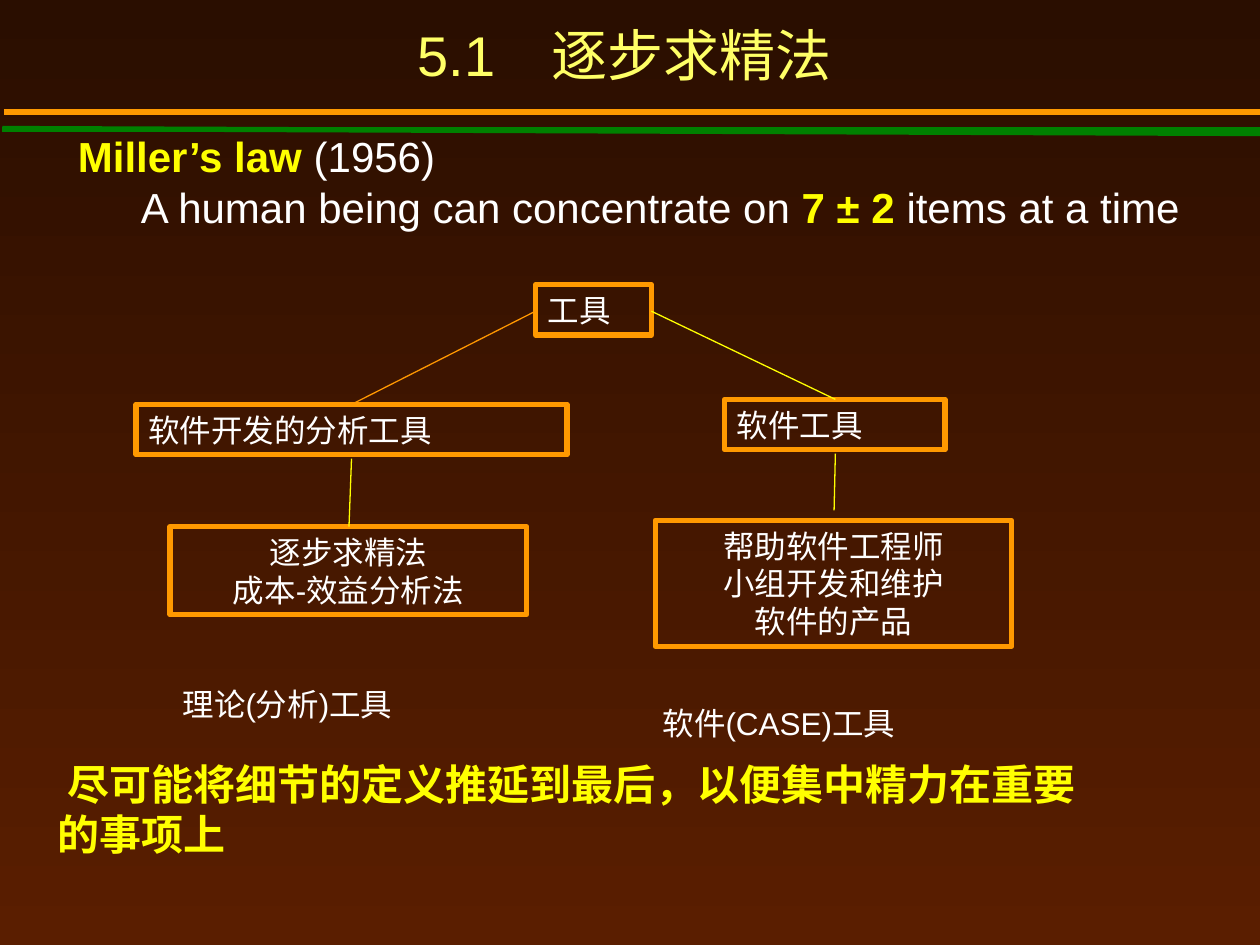
from pptx import Presentation
from pptx.dml.color import RGBColor
from pptx.enum.shapes import MSO_CONNECTOR, MSO_SHAPE
from pptx.enum.text import MSO_ANCHOR, MSO_AUTO_SIZE, PP_ALIGN
from pptx.oxml.ns import qn
from pptx.util import Inches, Pt
from lxml import etree

LEFT, CENTER = PP_ALIGN.LEFT, PP_ALIGN.CENTER
TOP, BOTTOM = MSO_ANCHOR.TOP, MSO_ANCHOR.BOTTOM
FIXED, GROW = MSO_AUTO_SIZE.NONE, MSO_AUTO_SIZE.SHAPE_TO_FIT_TEXT
RECTANGLE, STRAIGHT = MSO_SHAPE.RECTANGLE, MSO_CONNECTOR.STRAIGHT
TITLE_ONLY = 5

WHITE, YELLOW, ORANGE, GREEN = "FFFFFF", "FFFF00", "FF9900", "008000"
CJK_FONT = "Noto Sans CJK SC"


def color(value):
    return RGBColor.from_string(value)


def add_span(para, text, size=18, font="Arial", fill=WHITE, bold=False):
    span = para.add_run()
    span.text = text
    span.font.size = Pt(size)
    span.font.bold = bold
    span.font.color.rgb = color(fill)
    span.font.name = font
    east_asian = etree.SubElement(span.font._element, qn("a:ea"))
    east_asian.set("typeface", CJK_FONT)


class SlideBuilder:
    """Holds the shared style and the slide being built."""

    def __init__(self, deck):
        self.page = deck.slides.add_slide(deck.slide_layouts[TITLE_ONLY])

    def background(self, top, bottom):
        fill = self.page.background.fill
        fill.gradient()
        fill.gradient_angle = 270
        for stop, value in zip(fill.gradient_stops, (top, bottom)):
            stop.color.rgb = color(value)

    def fill_text(self, box, paragraphs, align=LEFT, anchor=TOP, fit=GROW,
                  **style):
        """Each paragraph is a string or a list of (text, overrides) spans."""
        frame = box.text_frame
        frame.word_wrap = True
        frame.auto_size = fit
        frame.vertical_anchor = anchor
        for index, spans in enumerate(paragraphs):
            para = frame.add_paragraph() if index else frame.paragraphs[0]
            para.alignment = align
            if isinstance(spans, str):
                spans = [(spans, {})]
            for text, overrides in spans:
                add_span(para, text, **{**style, **overrides})
        return frame.paragraphs

    def title(self, text, left, top, width, height):
        box = self.page.shapes.title
        box.left, box.top = Inches(left), Inches(top)
        box.width, box.height = Inches(width), Inches(height)
        self.fill_text(box, [text], align=CENTER, anchor=BOTTOM, fit=FIXED,
                       size=32, fill="FFFF66")

    def text(self, paragraphs, left, top, width, height, **style):
        box = self.page.shapes.add_textbox(
            Inches(left), Inches(top), Inches(width), Inches(height))
        return self.fill_text(box, paragraphs, **style)

    def node(self, paragraphs, left, top, width, height, **style):
        box = self.page.shapes.add_shape(
            RECTANGLE, Inches(left), Inches(top), Inches(width), Inches(height))
        box.shadow.inherit = False
        box.fill.background()
        box.line.color.rgb = color(ORANGE)
        box.line.width = Pt(3)
        self.fill_text(box, paragraphs, **style)

    def line(self, start, end, fill=YELLOW, width=0.75):
        line = self.page.shapes.add_connector(
            STRAIGHT, *(Inches(value) for value in (*start, *end)))
        line.line.color.rgb = color(fill)
        line.line.width = Pt(width)
        etree.SubElement(line._element.spPr, qn("a:effectLst"))


def main():
    deck = Presentation()
    deck.slide_width, deck.slide_height = Inches(10), Inches(7.5)
    slide = SlideBuilder(deck)
    slide.background("2A0E00", "5A1E00")

    # Header rules and title
    slide.line((0.02, 1.03), (10.03, 1.03), fill=GREEN, width=3)
    slide.line((0.02, 1.02), (10.02, 1.06), fill=GREEN, width=3)
    slide.line((0.03, 0.89), (10.03, 0.89), fill=ORANGE, width=3)
    slide.title("5.1　逐步求精法", 0, 0.25, 9.92, 0.5)

    # Miller's law
    strong = {"fill": YELLOW, "bold": True}
    law = slide.text([
        [("Miller’s law ", strong), ("(1956)", {})],
        [("A human being can concentrate on ", {}), ("7 ± 2 ", strong),
         ("items at a time", {})],
    ], 0.52, 0.99, 9.48, 0.9, size=24)
    law[1].level = 1
    law[1]._p.get_or_add_pPr().set("marL", str(Inches(0.5)))

    # Tree of tools
    slide.node(["工具"], 4.25, 2.26, 0.92, 0.4)
    slide.node(["软件开发的分析工具"], 1.08, 3.21, 3.42, 0.4)
    slide.node(["软件工具"], 5.75, 3.17, 1.75, 0.4)
    slide.node(["逐步求精法", "成本-效益分析法"],
               1.35, 4.18, 2.83, 0.7, align=CENTER)
    slide.node(["帮助软件工程师", "小组开发和维护", "软件的产品"],
               5.2, 4.13, 2.83, 1, align=CENTER)

    # Branches
    slide.line((4.25, 2.47), (2.79, 3.21), fill="FF9700")
    slide.line((5.17, 2.47), (6.63, 3.17))
    slide.line((2.79, 3.64), (2.77, 4.18))
    slide.line((6.63, 3.6), (6.62, 4.05))

    # Branch captions
    slide.text(["理论(分析)工具"], 1.35, 5.39, 2.85, 0.4)
    slide.text(["软件(CASE)工具"], 5.16, 5.54, 2.91, 0.4)

    # Conclusion
    conclusion = slide.text(
        ["尽可能将细节的定义推延到最后，以便集中精力在重要", "的事项上"],
        0.36, 5.97, 9.64, 0.9, size=24, font=CJK_FONT, **strong)
    conclusion[0]._p.get_or_add_pPr().set("indent", str(Inches(0.08)))

    deck.save("out.pptx")


if __name__ == "__main__":
    main()
